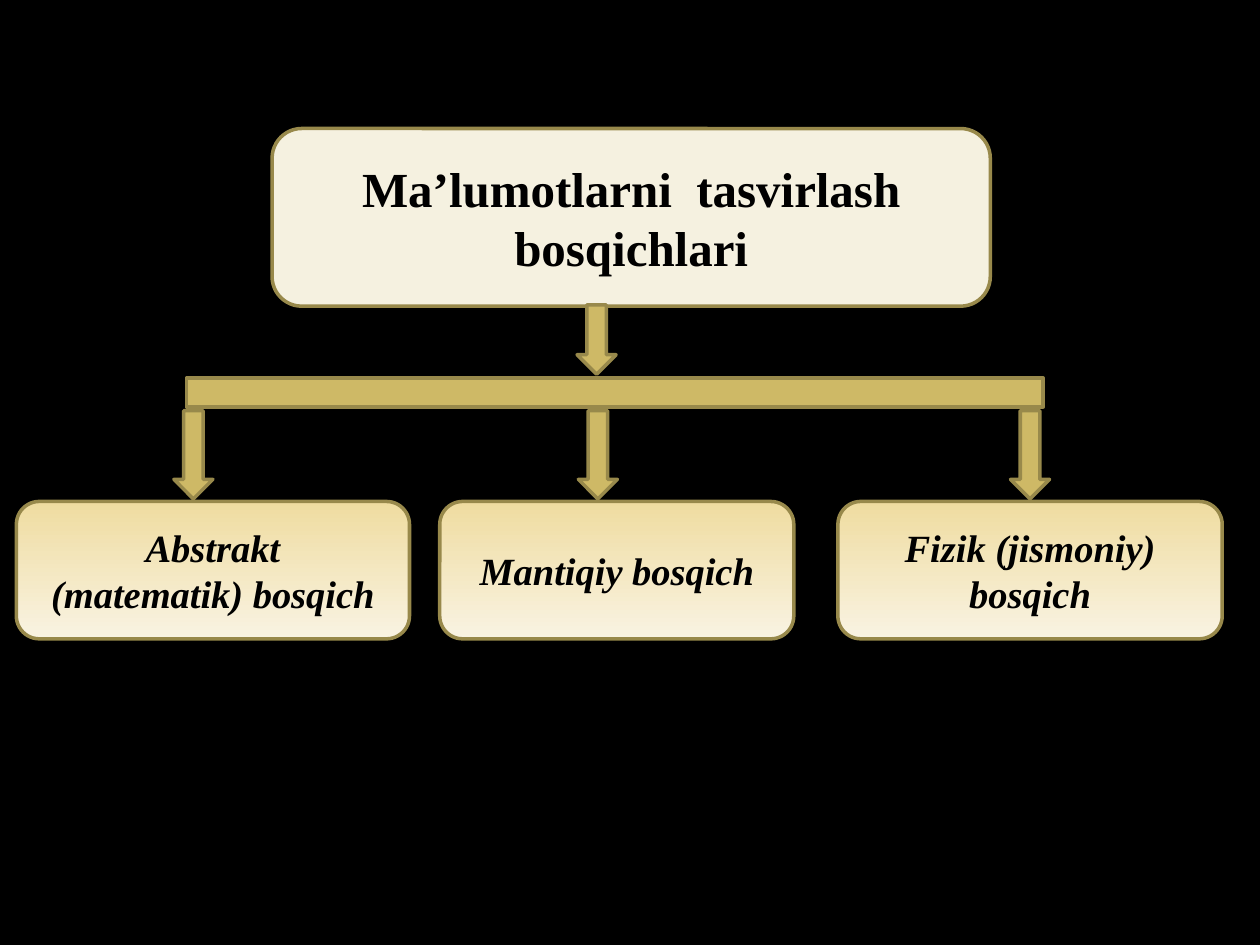
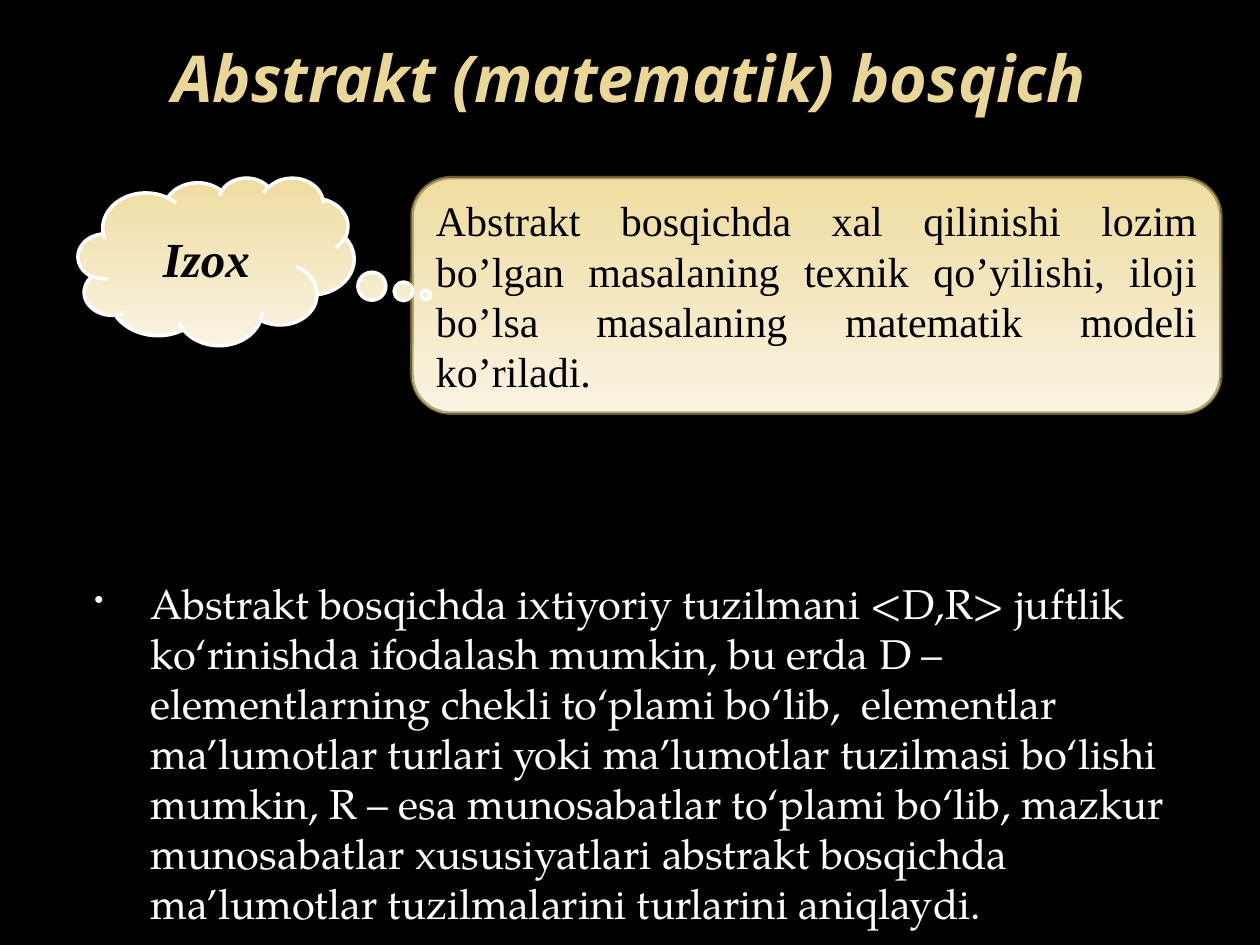
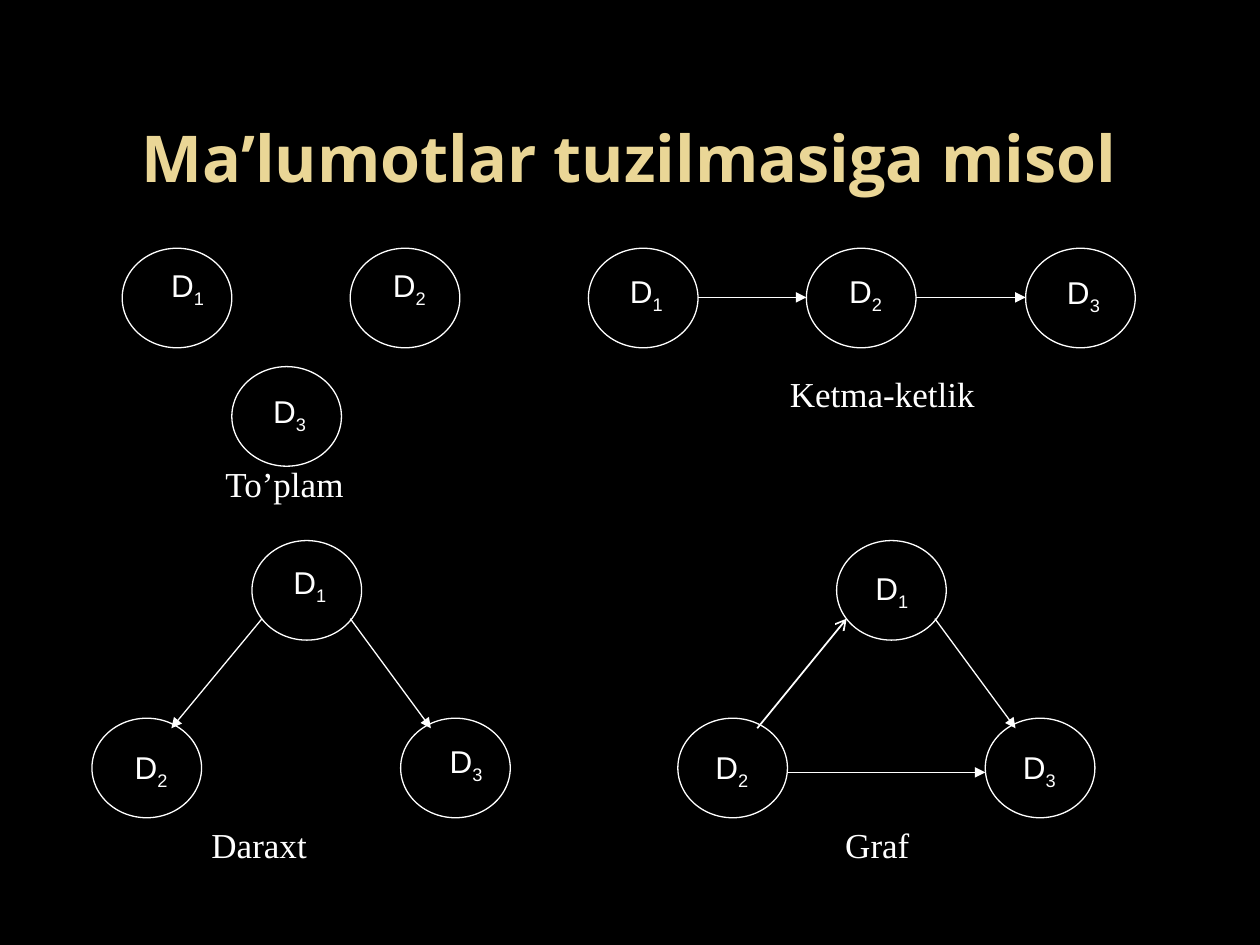
from lxml.etree import SubElement
from pptx import Presentation
from pptx.dml.color import RGBColor
from pptx.enum.shapes import MSO_CONNECTOR, MSO_SHAPE as Shape
from pptx.enum.text import MSO_ANCHOR as Anchor, MSO_AUTO_SIZE as AutoSize, PP_ALIGN as Align
from pptx.oxml.ns import qn
from pptx.util import Inches, Pt

WIDTH, HEIGHT = Inches(10), Inches(7.5)
CELL = WIDTH / 100  # the slide is a grid of 100 columns by 75 rows

BLACK = RGBColor(0x00, 0x00, 0x00)
WHITE = RGBColor(0xFF, 0xFF, 0xFF)
BULLET_WHITE = RGBColor(0xF9, 0xF9, 0xF9)
GOLD = RGBColor(0xCE, 0xB9, 0x66)
DARK_GOLD = RGBColor(0x98, 0x89, 0x4B)
TITLE_GOLD = RGBColor(0xEA, 0xD6, 0x96)
IVORY = RGBColor(0xF5, 0xF1, 0xE0)
SAND_FADE = (RGBColor(0xEF, 0xDC, 0xA0), RGBColor(0xF9, 0xF3, 0xE2))

SERIF = "Times New Roman"
TITLE = dict(name="Open Sans", size=Pt(36.9), color=TITLE_GOLD, bold=True)
HEADING = dict(name=SERIF, size=Pt(28), color=BLACK, bold=True)
STAGE = dict(name=SERIF, size=Pt(22), color=BLACK, bold=True, italic=True)
NOTE = dict(name=SERIF, size=Pt(24), color=BLACK)
BODY = dict(name="TeX Gyre Pagella", size=Pt(23.8), color=WHITE)
NODE = dict(name="Arial", size=Pt(18), color=WHITE)
CAPTION = dict(name=SERIF, size=Pt(20), color=WHITE)

# Slide 1: left, width, arrow left, lines of text
STAGES = [
    (1.3, 31.2, 13.8, ["Abstrakt", "(matematik) bosqich"]),
    (34.9, 28.1, 45.9, ["Mantiqiy bosqich"]),
    (66.5, 30.5, 80.2, ["Fizik (jismoniy)", "bosqich"]),
]

# Slide 3: points on a node, in cells from its top left corner
NODE_WIDTH, NODE_HEIGHT = 8.7, 7.9
LEFT, RIGHT = (0, 3.9), (NODE_WIDTH, 3.9)
LOW_LEFT, LOW_RIGHT = (0, 4.3), (NODE_WIDTH, 4.3)
BOTTOM_LEFT, BOTTOM_RIGHT = (0.8, 6.2), (7.8, 6.2)
TOP_LEFT, TOP_RIGHT = (2.4, 0.8), (6.3, 0.8)

# caption: text, left, top, width
# nodes: left, top, label shift right, label shift down
# edges: first node, its point, second node, its point, arrowhead, line width
DIAGRAMS = [
    dict(caption=("To’plam", 16.9, 36.2, 11.5),
         nodes=[(9.7, 19.7, 2.9, 0.9), (27.8, 19.7, 2.4, 0.9), (18.4, 29.1, 2.3, 1.5)],
         edges=[]),
    dict(caption=("Ketma-ketlik", 61.7, 29.1, 16.8),
         nodes=[(46.7, 19.7, 2.3, 1.4), (64, 19.7, 2.4, 1.4), (81.4, 19.7, 2.3, 1.5)],
         edges=[(0, RIGHT, 1, LEFT, "triangle", 0.75),
                (1, RIGHT, 2, LEFT, "triangle", 0.75)]),
    dict(caption=("Daraxt", 15.8, 64.9, 9.7),
         nodes=[(20, 42.9, 2.3, 1.3), (7.3, 57, 2.4, 1.9), (31.8, 57, 2.9, 1.4)],
         edges=[(0, BOTTOM_LEFT, 1, TOP_RIGHT, "triangle", 0.75),
                (0, BOTTOM_RIGHT, 2, TOP_LEFT, "triangle", 0.75)]),
    dict(caption=("Graf", 66.1, 64.9, 7.2),
         nodes=[(66.4, 42.9, 2.1, 1.8), (53.8, 57, 2, 1.9), (78.2, 57, 2, 1.9)],
         edges=[(1, TOP_RIGHT, 0, BOTTOM_LEFT, "arrow", 1),
                (0, BOTTOM_RIGHT, 2, TOP_LEFT, "triangle", 0.75),
                (1, LOW_RIGHT, 2, LOW_LEFT, "triangle", 0.75)]),
]


def cells(*lengths):
    return [round(length * CELL) for length in lengths]


def add_page(deck):
    page = deck.slides.add_slide(deck.slide_layouts[6])
    page.background.fill.solid()
    page.background.fill.fore_color.rgb = BLACK
    return page


def add_span(para, text, style):
    span = para.add_run()
    span.text = text
    for key, value in style.items():
        if key == "color":
            span.font.color.rgb = value
        else:
            setattr(span.font, key, value)
    return span


def write(box, lines, style, align=Align.CENTER, anchor=Anchor.MIDDLE):
    """Fill a box with one paragraph for each line."""
    frame = box.text_frame
    frame.word_wrap = True
    frame.vertical_anchor = anchor
    for index, line in enumerate(lines):
        para = frame.add_paragraph() if index else frame.paragraphs[0]
        para.alignment = align
        add_span(para, line, style)
    return frame


def add_figure(shapes, kind, area, fill=None, line=DARK_GOLD, line_width=2):
    """Add a shape; fill is a colour, a pair of colours that fade downwards, or None."""
    figure = shapes.add_shape(kind, *cells(*area))
    figure.shadow.inherit = False
    if fill is None:
        figure.fill.background()
    elif isinstance(fill, RGBColor):
        figure.fill.solid()
        figure.fill.fore_color.rgb = fill
    else:
        figure.fill.gradient()
        figure.fill.gradient_angle = 270
        for stop, color in zip(figure.fill.gradient_stops, fill):
            stop.color.rgb = color
    figure.line.color.rgb = line
    figure.line.width = Pt(line_width)
    return figure


def add_title(page, text, anchor, **extra):
    box = page.shapes.add_textbox(*cells(5, 3, 90, 12.5))
    frame = write(box, [text], TITLE | extra, anchor=anchor)
    frame.margin_top = frame.margin_bottom = 0


def add_bullet(para, color, percent):
    props = para._p.get_or_add_pPr()
    props.set("marL", str(Inches(0.6)))
    props.set("indent", str(Inches(-0.45)))
    SubElement(SubElement(props, qn("a:buClr")), qn("a:srgbClr"), val=str(color))
    SubElement(props, qn("a:buSzPct"), val=str(percent * 1000))
    SubElement(props, qn("a:buChar"), char="•")


def set_line_opacity(figure, percent):
    color = figure._element.spPr.find(qn("a:ln")).find(".//" + qn("a:srgbClr"))
    SubElement(color, qn("a:alpha"), val=str(percent * 1000))


def add_label(shapes, left, top, width, height, text, style):
    """Add a text box that fits its one line; return the paragraph."""
    box = shapes.add_textbox(*cells(left, top, width, height))
    box.text_frame.word_wrap = False
    box.text_frame.auto_size = AutoSize.SHAPE_TO_FIT_TEXT
    para = box.text_frame.paragraphs[0]
    add_span(para, text, style)
    return para


def add_node(shapes, number, left, top, right, down):
    add_figure(shapes, Shape.OVAL, (left, top, NODE_WIDTH, NODE_HEIGHT),
               line=WHITE, line_width=0.75)
    para = add_label(shapes, left + right, top + down, 4.7, 4, "D", NODE)
    index = add_span(para, str(number), NODE)
    index.font._element.set("baseline", "-25000")


def add_arrow(shapes, start, end, head, width):
    arrow = shapes.add_connector(MSO_CONNECTOR.STRAIGHT, *cells(*start, *end))
    arrow.line.color.rgb = WHITE
    arrow.line.width = Pt(width)
    props = arrow._element.spPr
    SubElement(props.find(qn("a:ln")), qn("a:tailEnd"), type=head)
    SubElement(props, qn("a:effectLst"))


def add_diagram(page, caption, nodes, edges):
    shapes = page.shapes.add_group_shape().shapes
    for number, node in enumerate(nodes, 1):
        add_node(shapes, number, *node)
    for first, start, second, end, head, width in edges:
        ends = [(nodes[index][0] + point[0], nodes[index][1] + point[1])
                for index, point in ((first, start), (second, end))]
        add_arrow(shapes, *ends, head, width)
    text, left, top, width = caption
    add_label(shapes, left, top, width, 4.4, text, CAPTION)


def build_stages(deck):
    shapes = add_page(deck).shapes
    add_figure(shapes, Shape.RECTANGLE, (14.8, 30, 68, 2.3), GOLD)
    for left, width, _, lines in STAGES:
        box = add_figure(shapes, Shape.ROUNDED_RECTANGLE, (left, 39.8, width, 10.9), SAND_FADE)
        write(box, lines, STAGE)
    heading = add_figure(shapes, Shape.ROUNDED_RECTANGLE, (21.6, 10.2, 57, 14.1), IVORY)
    write(heading, ["Ma’lumotlarni  tasvirlash bosqichlari"], HEADING)
    add_figure(shapes, Shape.DOWN_ARROW, (45.8, 24.2, 3.1, 5.5), GOLD)
    for _, _, left, _ in STAGES:
        add_figure(shapes, Shape.DOWN_ARROW, (left, 32.6, 3.1, 7), GOLD)


def build_abstract_stage(deck):
    page = add_page(deck)
    add_title(page, "Abstrakt (matematik) bosqich", Anchor.TOP, italic=True)
    body = page.shapes.add_textbox(*cells(5, 45.4, 90, 23.6))
    frame = write(body, [
        "Abstrakt bosqichda ixtiyoriy tuzilmani <D,R> juftlik ko‘rinishda ifodalash mumkin, "
        "bu erda D – elementlarning chekli to‘plami bo‘lib,  elementlar ma’lumotlar turlari "
        "yoki ma’lumotlar tuzilmasi bo‘lishi mumkin, R – esa munosabatlar to‘plami bo‘lib, "
        "mazkur munosabatlar xususiyatlari abstrakt bosqichda ma’lumotlar tuzilmalarini "
        "turlarini aniqlaydi."], BODY, Align.LEFT, Anchor.TOP)
    frame.paragraphs[0].space_before = Pt(4.8)
    add_bullet(frame.paragraphs[0], BULLET_WHITE, 65)
    note = add_figure(page.shapes, Shape.ROUNDED_RECTANGLE, (32.7, 14.1, 64.2, 18.7), SAND_FADE)
    set_line_opacity(note, 70)
    write(note, [
        "Abstrakt bosqichda xal qilinishi lozim bo’lgan masalaning texnik qo’yilishi, "
        "iloji bo’lsa masalaning matematik modeli ko’riladi."], NOTE, Align.JUSTIFY)
    cloud = add_figure(page.shapes, Shape.CLOUD_CALLOUT, (6.2, 14.1, 21.9, 13.3),
                       SAND_FADE, WHITE)
    cloud.adjustments[0], cloud.adjustments[1] = 0.76, 0.2
    write(cloud, ["Izox"], HEADING | dict(italic=True))


def build_examples(deck):
    page = add_page(deck)
    add_title(page, "Ma’lumotlar tuzilmasiga misol", Anchor.BOTTOM)
    for diagram in DIAGRAMS:
        add_diagram(page, **diagram)


def main():
    deck = Presentation()
    deck.slide_width, deck.slide_height = WIDTH, HEIGHT
    build_stages(deck)
    build_abstract_stage(deck)
    build_examples(deck)
    deck.save("out.pptx")


if __name__ == "__main__":
    main()
